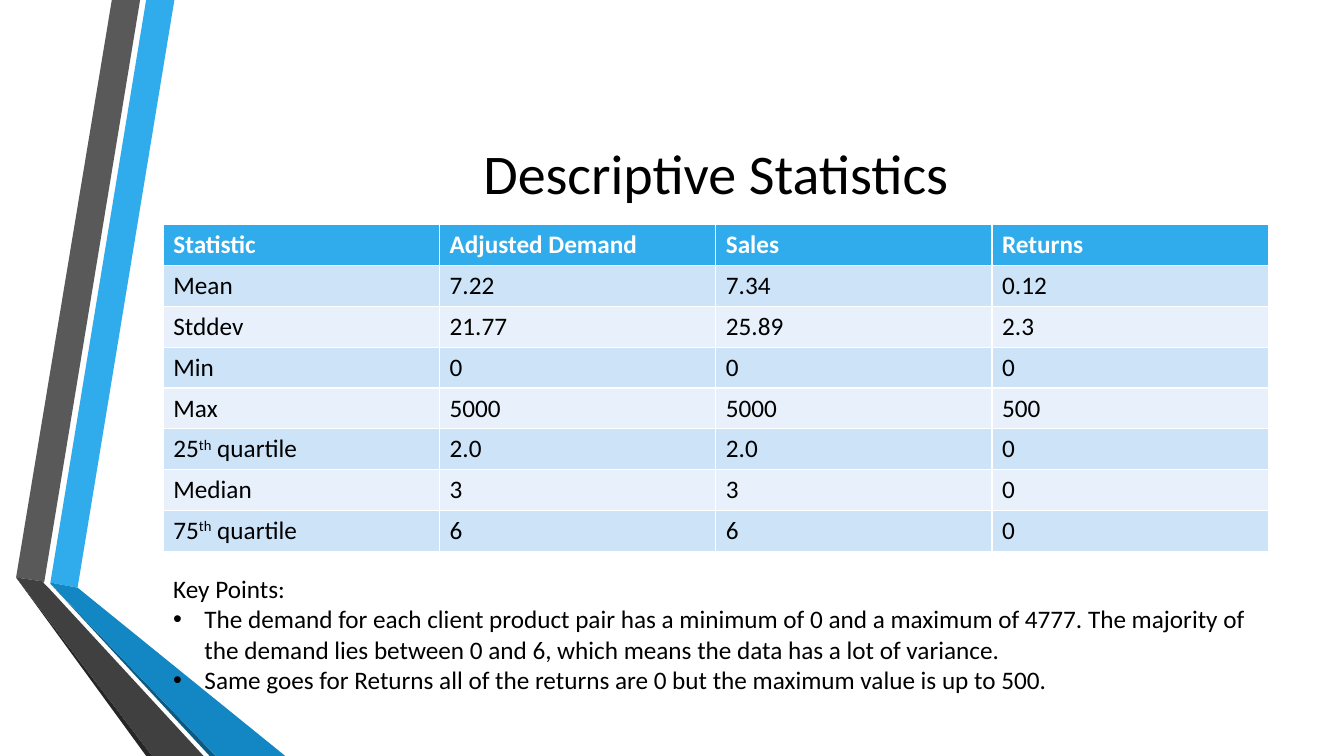
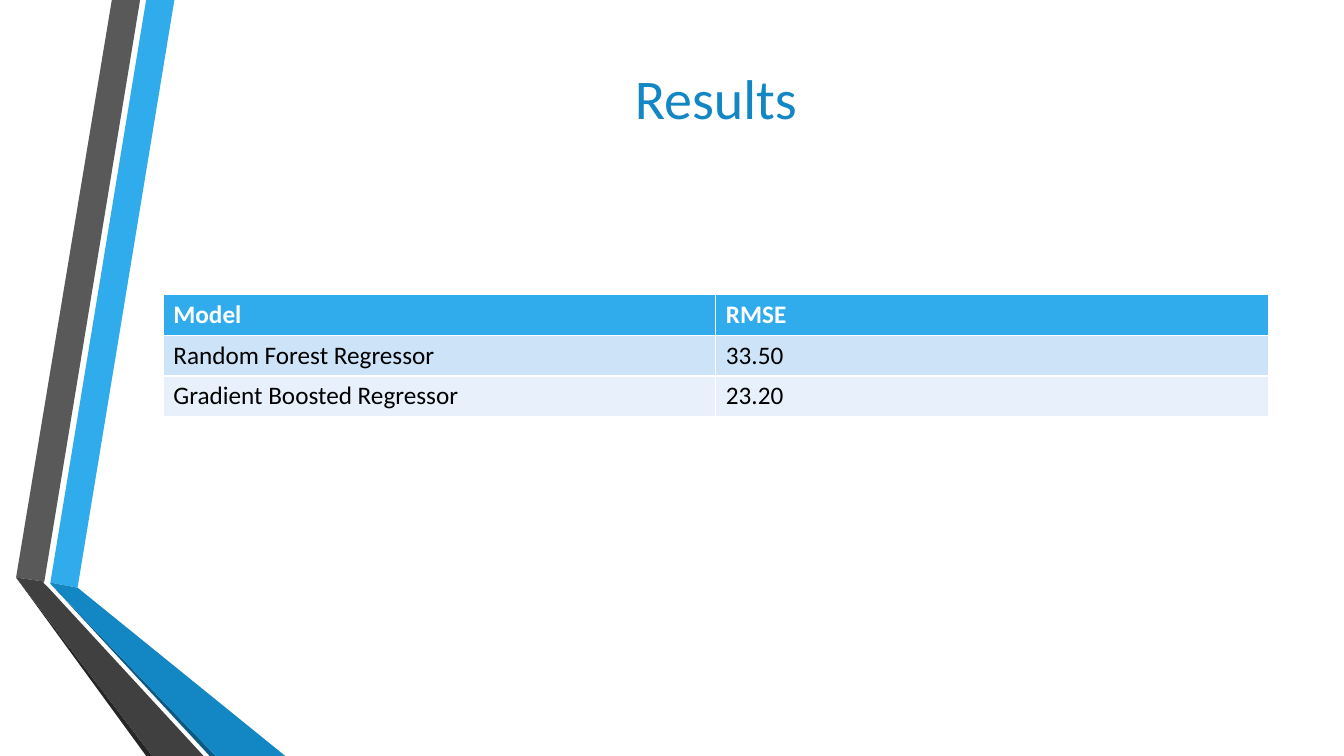
from lxml.etree import SubElement
from pptx import Presentation
from pptx.dml.color import RGBColor
from pptx.enum.text import MSO_ANCHOR, PP_ALIGN
from pptx.oxml.ns import qn
from pptx.util import Inches, Pt

FONT = "Calibri"
BLACK, WHITE = "000000", "FFFFFF"
SKY, BLUE = "30ACEC", "1287C3"
ROW_TINTS = ("CDE3F8", "E8F1FB")
LEFT, WIDTH = 1.62, 10.96
ROW_HEIGHT = 0.405
RIBBONS = (
    (SKY, ((0.5, 5.78), (0.77, 5.83), (1.73, 0), (1.45, 0))),
    ("595959", ((1.39, 0), (1.11, 0), (0.16, 5.73), (0.44, 5.77))),
    ("262626", ((0.16, 5.73), (1.45, 7.5), (1.51, 7.5))),
    ("0C5A82", ((0.5, 5.79), (2.08, 7.5), (2.14, 7.5))),
    (BLUE, ((0.5, 5.79), (2.14, 7.5), (2.83, 7.5), (0.77, 5.83), (0.5, 5.78))),
    ("404040", ((2.02, 7.5), (0.48, 5.83), (0.43, 5.78), (0.44, 5.77),
                (0.16, 5.73), (1.51, 7.5))),
)
STATISTICS = (
    ("Statistic", "Adjusted Demand", "Sales", "Returns"),
    ("Mean", "7.22", "7.34", "0.12"),
    ("Stddev", "21.77", "25.89", "2.3"),
    ("Min", "0", "0", "0"),
    ("Max", "5000", "5000", "500"),
    ("25^th^ quartile", "2.0", "2.0", "0"),
    ("Median", "3", "3", "0"),
    ("75^th^ quartile", "6", "6", "0"),
)
RESULTS = (
    ("Model", "RMSE"),
    ("Random Forest Regressor", "33.50"),
    ("Gradient Boosted Regressor", "23.20"),
)
KEY_POINTS = (
    "The demand for each client product pair has a minimum of 0 and a maximum "
    "of 4777. The majority of the demand lies between 0 and 6, which means the "
    "data has a lot of variance.",
    "Same goes for Returns all of the returns are 0 but the maximum value is up to 500.",
)


def paint(target, color):
    """Give a shape or a cell a solid fill."""
    target.fill.solid()
    target.fill.fore_color.rgb = RGBColor.from_string(color)


def style_runs(paragraph, size, color, bold=False):
    """Format every run of a paragraph."""
    for run in paragraph.runs:
        run.font.name = FONT
        run.font.size = Pt(size)
        run.font.bold = bold
        run.font.color.rgb = RGBColor.from_string(color)


def add_ribbons(slide):
    """Draw the folded ribbons along the left edge."""
    for color, corners in RIBBONS:
        start, *rest = [(Inches(x), Inches(y)) for x, y in corners]
        outline = slide.shapes.build_freeform(*start)
        outline.add_line_segments(rest, close=True)
        ribbon = outline.convert_to_shape()
        paint(ribbon, color)
        ribbon.line.fill.background()
        ribbon.shadow.inherit = False


def add_text(slide, top, height):
    """Add a wrapping text frame as wide as the content column."""
    box = slide.shapes.add_textbox(Inches(LEFT), Inches(top), Inches(WIDTH), Inches(height))
    box.text_frame.word_wrap = True
    return box.text_frame


def add_title(slide, title, top, color):
    """Add the centred slide title."""
    frame = add_text(slide, top, 1.92)
    frame.vertical_anchor = MSO_ANCHOR.MIDDLE
    frame.text = title
    heading = frame.paragraphs[0]
    heading.alignment = PP_ALIGN.CENTER
    style_runs(heading, 40, color)


def write_cell(cell, text, color, bold):
    """Write cell text, raising the parts between carets."""
    paragraph = cell.text_frame.paragraphs[0]
    for index, part in enumerate(text.split("^")):
        run = paragraph.add_run()
        run.text = part
        if index % 2:
            run.font._element.set("baseline", "30000")
    style_runs(paragraph, 18, color, bold)


def add_data_table(slide, rows, top):
    """Add a table with a bold header and alternating row tints."""
    size = len(rows), len(rows[0])
    table = slide.shapes.add_table(
        *size, Inches(LEFT), Inches(top), Inches(WIDTH), Inches(ROW_HEIGHT * len(rows))
    ).table
    for row_index, row in enumerate(rows):
        header = row_index == 0
        for column_index, text in enumerate(row):
            cell = table.cell(row_index, column_index)
            paint(cell, SKY if header else ROW_TINTS[(row_index - 1) % 2])
            write_cell(cell, text, WHITE if header else BLACK, header)


def add_bullet(paragraph):
    """Give a paragraph a hanging bullet."""
    properties = paragraph._p.get_or_add_pPr()
    properties.set("marL", str(Inches(0.31)))
    properties.set("indent", str(-Inches(0.31)))
    SubElement(properties, qn("a:buFont")).set("typeface", "Arial")
    SubElement(properties, qn("a:buChar")).set("char", "•")


def add_key_points(slide, heading, points, top):
    """Add a heading followed by bulleted points."""
    frame = add_text(slide, top, 1.62)
    frame.text = "\n".join((heading, *points))
    for paragraph in frame.paragraphs:
        style_runs(paragraph, 18, BLACK)
    for paragraph in frame.paragraphs[1:]:
        add_bullet(paragraph)


def add_slide(deck, title, title_top, title_color):
    """Add a blank slide with ribbons and a title."""
    slide = deck.slides.add_slide(deck.slide_layouts[6])
    add_ribbons(slide)
    add_title(slide, title, title_top, title_color)
    return slide


def main():
    """Build and save the two slides."""
    deck = Presentation()
    deck.slide_width, deck.slide_height = Inches(13.33), Inches(7.5)

    statistics = add_slide(deck, "Descriptive Statistics", 0.75, BLACK)
    add_data_table(statistics, STATISTICS, 2.23)
    add_key_points(statistics, "Key Points:", KEY_POINTS, 5.64)

    results = add_slide(deck, "Results", 0, BLUE)
    add_data_table(results, RESULTS, 2.92)

    deck.save("out.pptx")


main()
